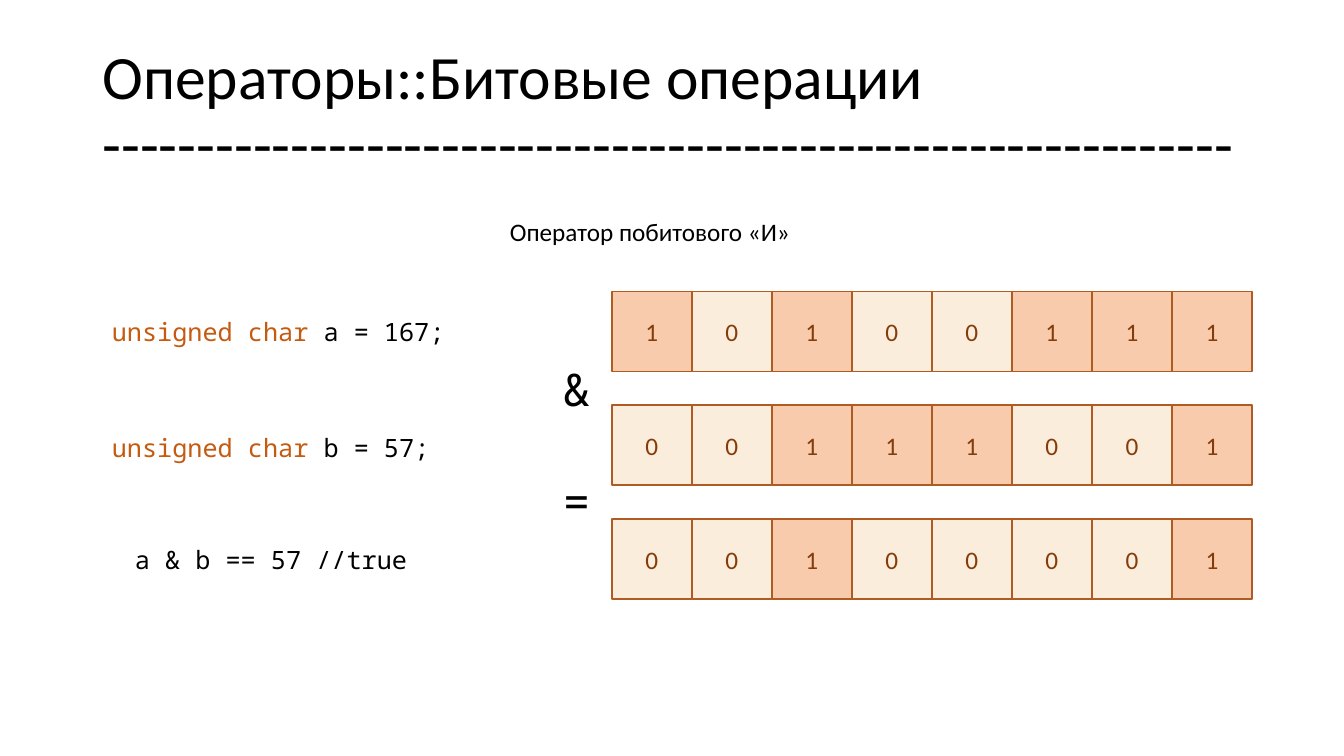
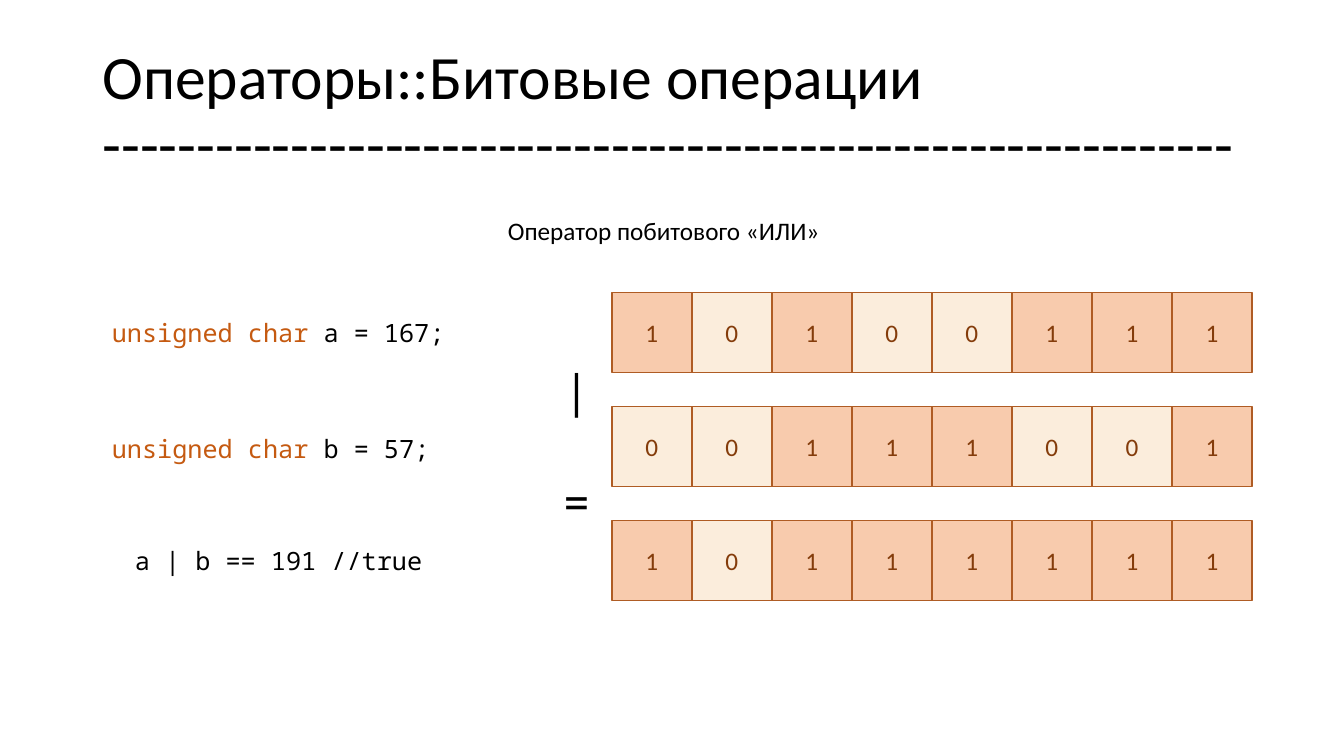
import dataclasses
from typing import Any

import pptx
import pptx.dml.color
import pptx.enum.shapes
import pptx.enum.text
import pptx.util

Cm = pptx.util.Cm
Align = pptx.enum.text.PP_ALIGN
Anchor = pptx.enum.text.MSO_ANCHOR

SANS = "Calibri"
MONO = "Noto Sans Mono"
BLACK = "000000"
KEYWORD = "C55A11"
DIGIT = "843C0B"
BORDER = "AF5C24"
BIT_FILL = {"1": "F8CBAD", "0": "FBEDDC"}

TITLE = ("Операторы::Битовые операции", "-" * 60)
BITS = 8
BITS_LEFT = 15.42
BITS_WIDTH = 16.13
ROW_PITCH = 2.87
CODE_OFFSETS = (0.5, 3.42, 6.25)
SIGN_OFFSETS = (1.65, 4.47)


@dataclasses.dataclass(frozen=True)
class Box:
    left: float
    top: float
    width: float
    height: float


@dataclasses.dataclass(frozen=True)
class CodeLine:
    keyword: str
    rest: str
    left: float
    width: float


@dataclasses.dataclass(frozen=True)
class Operation:
    caption: str
    caption_box: Box
    sign: str
    check: CodeLine
    values: tuple[int, int, int]
    top: float


DECLARATIONS = (
    CodeLine("unsigned char ", "a = 167;", 2.57, 9.04),
    CodeLine("unsigned char ", "b = 57;", 2.57, 8.64),
)

OPERATIONS = (
    Operation("Оператор побитового «И»", Box(12.6, 5.33, 7.67, 1.02), "&",
              CodeLine("", "a & b == 57 //true", 3.15, 7.49),
              (167, 57, 167 & 57), 7.34),
    Operation("Оператор побитового «ИЛИ»", Box(12.55, 5.31, 8.46, 1.02), "|",
              CodeLine("", "a | b == 191 //true", 3.15, 7.87),
              (167, 57, 167 | 57), 7.37),
)


def rgb(value: str) -> pptx.dml.color.RGBColor:
    return pptx.dml.color.RGBColor.from_string(value)


def write(paragraph: Any, text: str, *, size: float = 18, font: str = SANS,
          color: str = BLACK) -> None:
    run = paragraph.add_run()
    run.text = text
    run.font.size = pptx.util.Pt(size)
    run.font.name = font
    run.font.color.rgb = rgb(color)


def add_paragraph_box(slide: Any, box: Box, *, wrap: bool = False,
                      anchor: Anchor = Anchor.TOP) -> Any:
    frame = slide.shapes.add_textbox(
        Cm(box.left), Cm(box.top), Cm(box.width), Cm(box.height)).text_frame
    frame.word_wrap = wrap
    frame.vertical_anchor = anchor
    if not wrap:
        frame.auto_size = pptx.enum.text.MSO_AUTO_SIZE.SHAPE_TO_FIT_TEXT
    return frame.paragraphs[0]


def add_title(slide: Any) -> None:
    title = add_paragraph_box(slide, Box(2.33, 1.01, 29.21, 3.68),
                              wrap=True, anchor=Anchor.MIDDLE)
    title.line_spacing = 0.9
    heading, rule = TITLE
    write(title, heading, size=44)
    title.add_line_break()
    write(title, rule, size=44)


def add_bit_row(slide: Any, value: int, top: float) -> None:
    row = slide.shapes.add_group_shape()
    side = Cm(BITS_WIDTH) // BITS
    for column, digit in enumerate(f"{value:0{BITS}b}"):
        bit = row.shapes.add_shape(
            pptx.enum.shapes.MSO_SHAPE.RECTANGLE,
            Cm(BITS_LEFT) + column * side, Cm(top), side, side)
        bit.shadow.inherit = False
        bit.fill.solid()
        bit.fill.fore_color.rgb = rgb(BIT_FILL[digit])
        bit.line.color.rgb = rgb(BORDER)
        bit.line.width = pptx.util.Pt(1)
        bit.text_frame.vertical_anchor = Anchor.MIDDLE
        paragraph = bit.text_frame.paragraphs[0]
        paragraph.alignment = Align.CENTER
        write(paragraph, digit, color=DIGIT)


def add_code(slide: Any, code: CodeLine, top: float) -> None:
    line = add_paragraph_box(slide, Box(code.left, top, code.width, 1.02))
    if code.keyword:
        write(line, code.keyword, font=MONO, color=KEYWORD)
    write(line, code.rest, font=MONO)


def add_operation(deck: Any, operation: Operation) -> None:
    slide = deck.slides.add_slide(deck.slide_layouts[6])
    add_title(slide)
    write(add_paragraph_box(slide, operation.caption_box), operation.caption)
    for index, value in enumerate(operation.values):
        add_bit_row(slide, value, operation.top + index * ROW_PITCH)
    for sign, offset in zip((operation.sign, "="), SIGN_OFFSETS):
        sign_box = Box(13.94, operation.top + offset, 1.19, 1.63)
        write(add_paragraph_box(slide, sign_box), sign, size=32, font=MONO)
    for code, offset in zip((*DECLARATIONS, operation.check), CODE_OFFSETS):
        add_code(slide, code, operation.top + offset)


def main() -> None:
    deck = pptx.Presentation()
    deck.slide_width = Cm(33.87)
    deck.slide_height = Cm(19.05)
    for operation in OPERATIONS:
        add_operation(deck, operation)
    deck.save("out.pptx")


if __name__ == "__main__":
    main()
